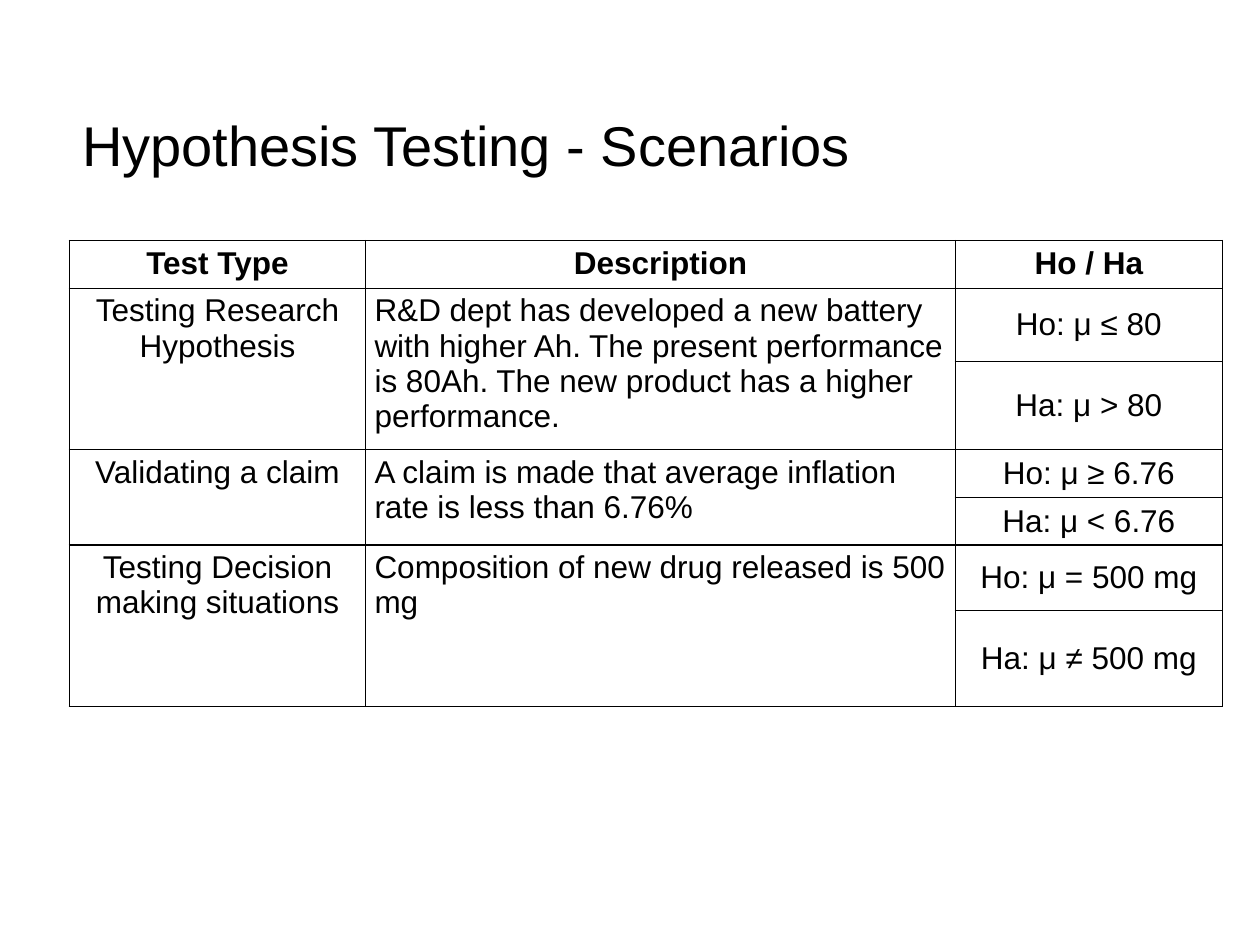
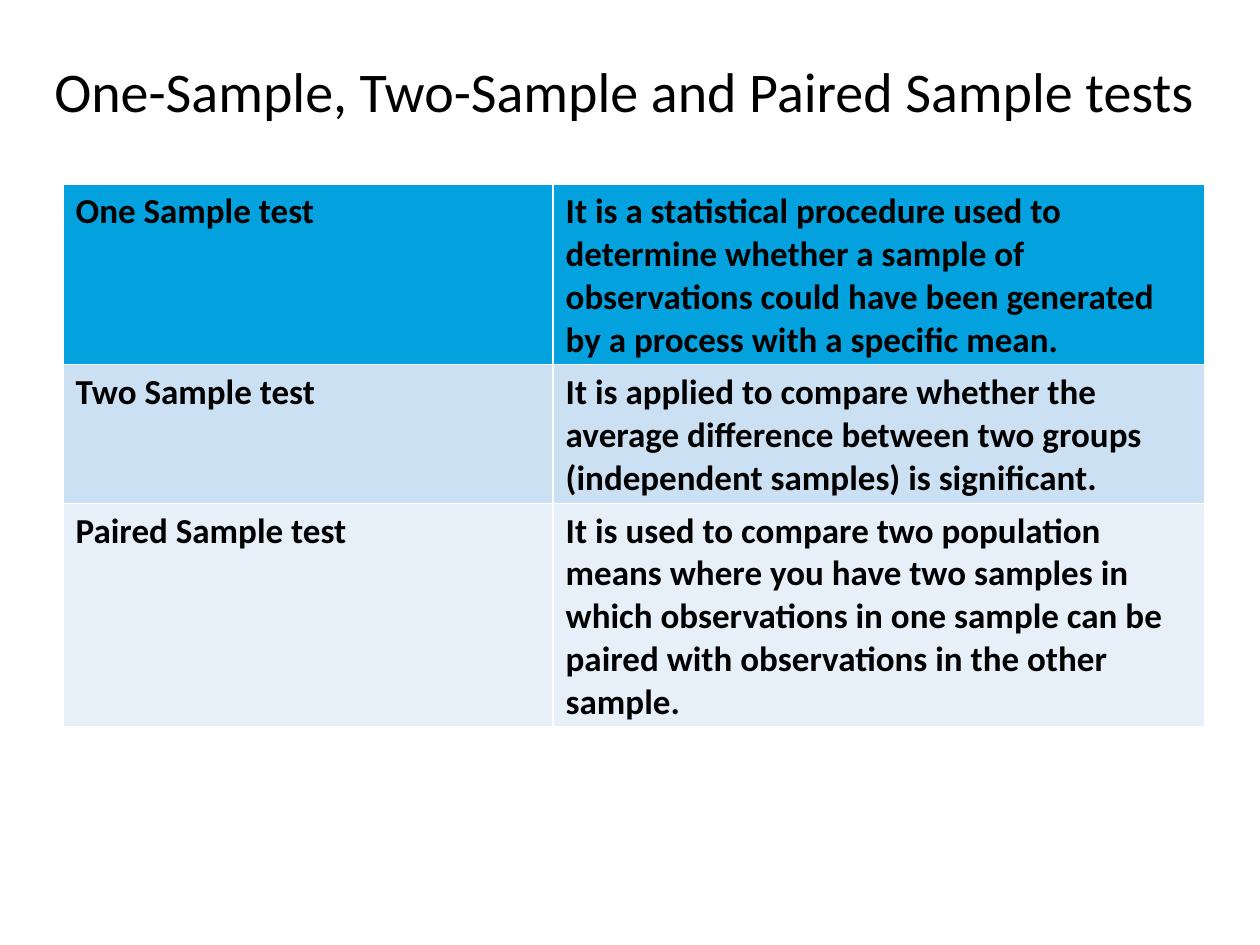
import pptx
import pptx.dml.color
import pptx.enum.text
import pptx.oxml.ns
import pptx.util
from lxml import etree

Cm = pptx.util.Cm
Pt = pptx.util.Pt
RGBColor = pptx.dml.color.RGBColor
ALIGN = pptx.enum.text.PP_ALIGN
ANCHOR = pptx.enum.text.MSO_ANCHOR
qn = pptx.oxml.ns.qn

BLACK = RGBColor(0x00, 0x00, 0x00)
WHITE = RGBColor(0xFF, 0xFF, 0xFF)
BLUE = RGBColor(0x03, 0xA2, 0xDF)
LIGHT_BLUE = RGBColor(0xCC, 0xE0, 0xF3)
PALE_BLUE = RGBColor(0xE7, 0xF0, 0xF9)

TITLE_ONLY = 5
TITLE_SIZE = Pt(32)
TITLE_HEIGHT = Cm(1.63)

SCENARIOS = [
    ("Testing Research Hypothesis",
     "R&D dept has developed a new battery with higher Ah. The present "
     "performance is 80Ah. The new product has a higher performance.",
     "Ho: μ ≤ 80", "Ha: μ > 80"),
    ("Validating a claim",
     "A claim is made that average inflation rate is less than 6.76%",
     "Ho: μ ≥ 6.76", "Ha: μ < 6.76"),
    ("Testing Decision making situations",
     "Composition of new drug released is 500 mg",
     "Ho: μ = 500 mg", "Ha: μ ≠ 500 mg"),
]

SAMPLE_TESTS = [
    ("One Sample test",
     "It is a statistical procedure used to determine whether a sample of "
     "observations could have been generated by a process with a specific mean.",
     BLUE),
    ("Two Sample test",
     "It is applied to compare whether the average difference between two "
     "groups (independent samples) is significant.",
     LIGHT_BLUE),
    ("Paired Sample test",
     "It is used to compare two population means where you have two samples in "
     "which observations in one sample can be paired with observations in the "
     "other sample.",
     PALE_BLUE),
]


class Deck:
    """Holds the presentation, the current slide and its font."""

    def __init__(self):
        self.presentation = pptx.Presentation()
        self.presentation.slide_width = Cm(25.4)
        self.presentation.slide_height = Cm(19.05)
        self.slide = None
        self.font = None

    def add_slide(self, font):
        layout = self.presentation.slide_layouts[TITLE_ONLY]
        self.slide = self.presentation.slides.add_slide(layout)
        self.font = font

    def set_text(self, frame, text, size, bold=False, align=ALIGN.LEFT):
        frame.text = text
        paragraph = frame.paragraphs[0]
        paragraph.alignment = align
        for run in paragraph.runs:
            run.font.name = self.font
            run.font.size = size
            run.font.bold = bold
            run.font.color.rgb = BLACK

    def title(self, text, left, top, width):
        heading = self.slide.shapes.title
        heading.left, heading.top = left, top
        heading.width, heading.height = width, TITLE_HEIGHT
        frame = heading.text_frame
        frame.word_wrap = True
        frame.auto_size = pptx.enum.text.MSO_AUTO_SIZE.SHAPE_TO_FIT_TEXT
        frame.vertical_anchor = ANCHOR.TOP
        self.set_text(frame, text, TITLE_SIZE)

    def table(self, left, top, widths, heights, border):
        """Add an unstyled grid; widths and heights are in centimetres."""
        grid = self.slide.shapes.add_table(
            len(heights), len(widths), left, top,
            Cm(sum(widths)), Cm(sum(heights))).table
        grid.first_row = grid.horz_banding = False
        for column, width in zip(grid.columns, widths):
            column.width = Cm(width)
        for row, height in zip(grid.rows, heights):
            row.height = Cm(height)
        for cell in grid.iter_cells():
            self.outline(cell, border)
            cell.fill.background()
        return grid

    def outline(self, cell, color):
        properties = cell._tc.get_or_add_tcPr()
        for side in ("lnL", "lnR", "lnT", "lnB"):
            line = etree.SubElement(properties, qn("a:" + side), w=str(Pt(1)))
            fill = etree.SubElement(line, qn("a:solidFill"))
            etree.SubElement(fill, qn("a:srgbClr"), val=str(color))


def add_scenarios(deck):
    deck.add_slide("Arial")
    deck.title("Hypothesis Testing - Scenarios", Cm(1.4), Cm(2.11), Cm(16.26))
    grid = deck.table(Cm(1.4), Cm(4.85), [5.97, 11.89, 5.38],
                      [0.96, 1.47, 1.75, 0.96, 0.96, 1.32, 1.93], BLACK)
    for cell in grid.iter_cells():
        cell.margin_left = cell.margin_right = Cm(0.18)
        cell.margin_top = cell.margin_bottom = Cm(0.1)

    size = Pt(18)
    for column, heading in enumerate(("Test Type", "Description", "Ho / Ha")):
        deck.set_text(grid.cell(0, column).text_frame, heading, size, True, ALIGN.CENTER)

    for index, (test_type, description, *hypotheses) in enumerate(SCENARIOS):
        first = 1 + 2 * index
        for column, text, align in ((0, test_type, ALIGN.CENTER),
                                    (1, description, ALIGN.LEFT)):
            cell = grid.cell(first, column)
            cell.merge(grid.cell(first + 1, column))
            deck.set_text(cell.text_frame, text, size, align=align)
        for row, hypothesis in enumerate(hypotheses, first):
            cell = grid.cell(row, 2)
            cell.vertical_anchor = ANCHOR.MIDDLE
            deck.set_text(cell.text_frame, hypothesis, size, align=ALIGN.CENTER)


def add_sample_tests(deck):
    deck.add_slide("Calibri")
    deck.title("One-Sample, Two-Sample and Paired Sample tests",
               Cm(0.84), Cm(1.02), Cm(23.75))
    grid = deck.table(Cm(1.27), Cm(3.71), [9.88, 13.13], [3.63, 2.79, 4.5], WHITE)
    for row, (test, meaning, color) in enumerate(SAMPLE_TESTS):
        for column, text in enumerate((test, meaning)):
            cell = grid.cell(row, column)
            cell.fill.solid()
            cell.fill.fore_color.rgb = color
            deck.set_text(cell.text_frame, text, Pt(20), bold=True)


def main():
    deck = Deck()
    add_scenarios(deck)
    add_sample_tests(deck)
    deck.presentation.save("out.pptx")


if __name__ == "__main__":
    main()
